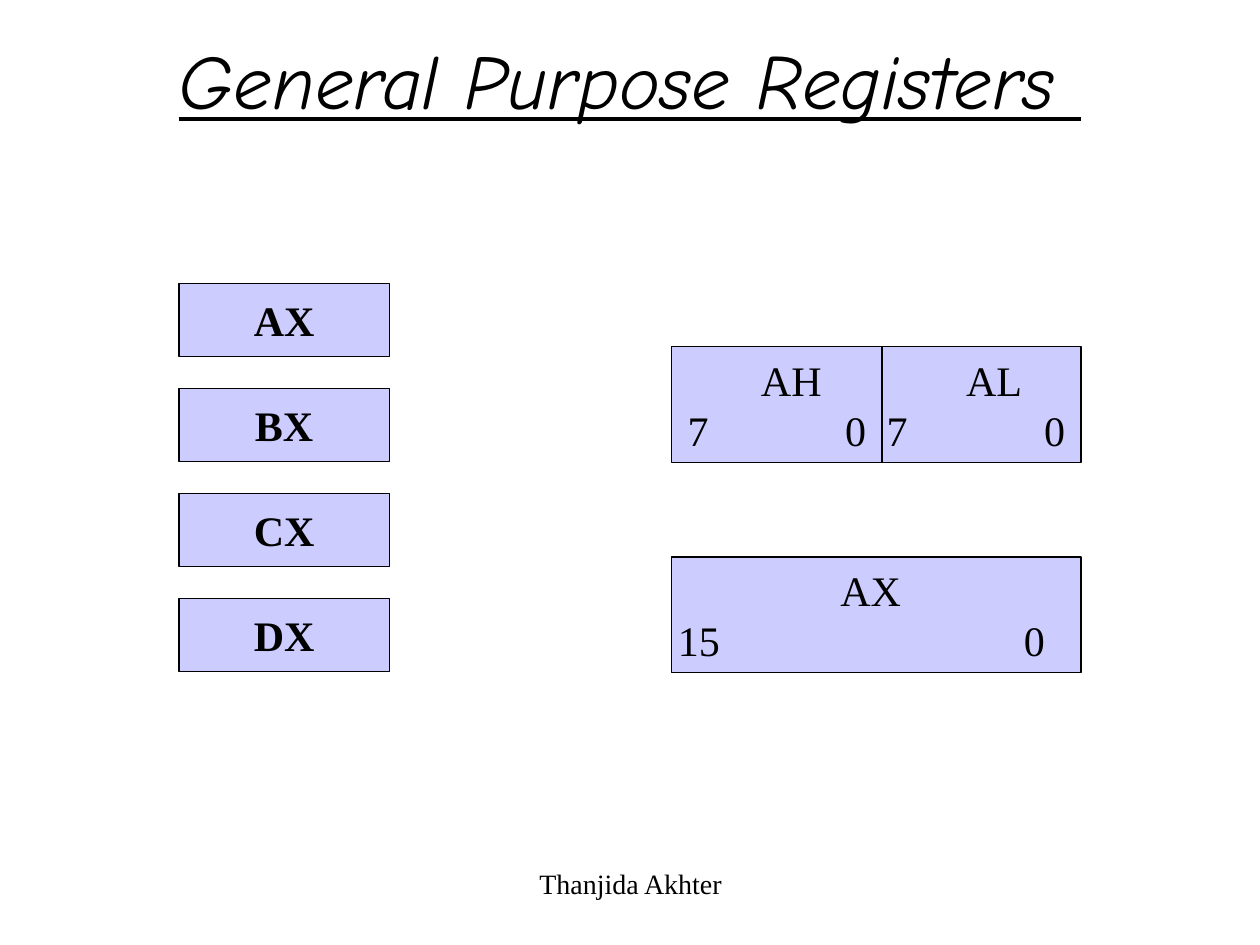
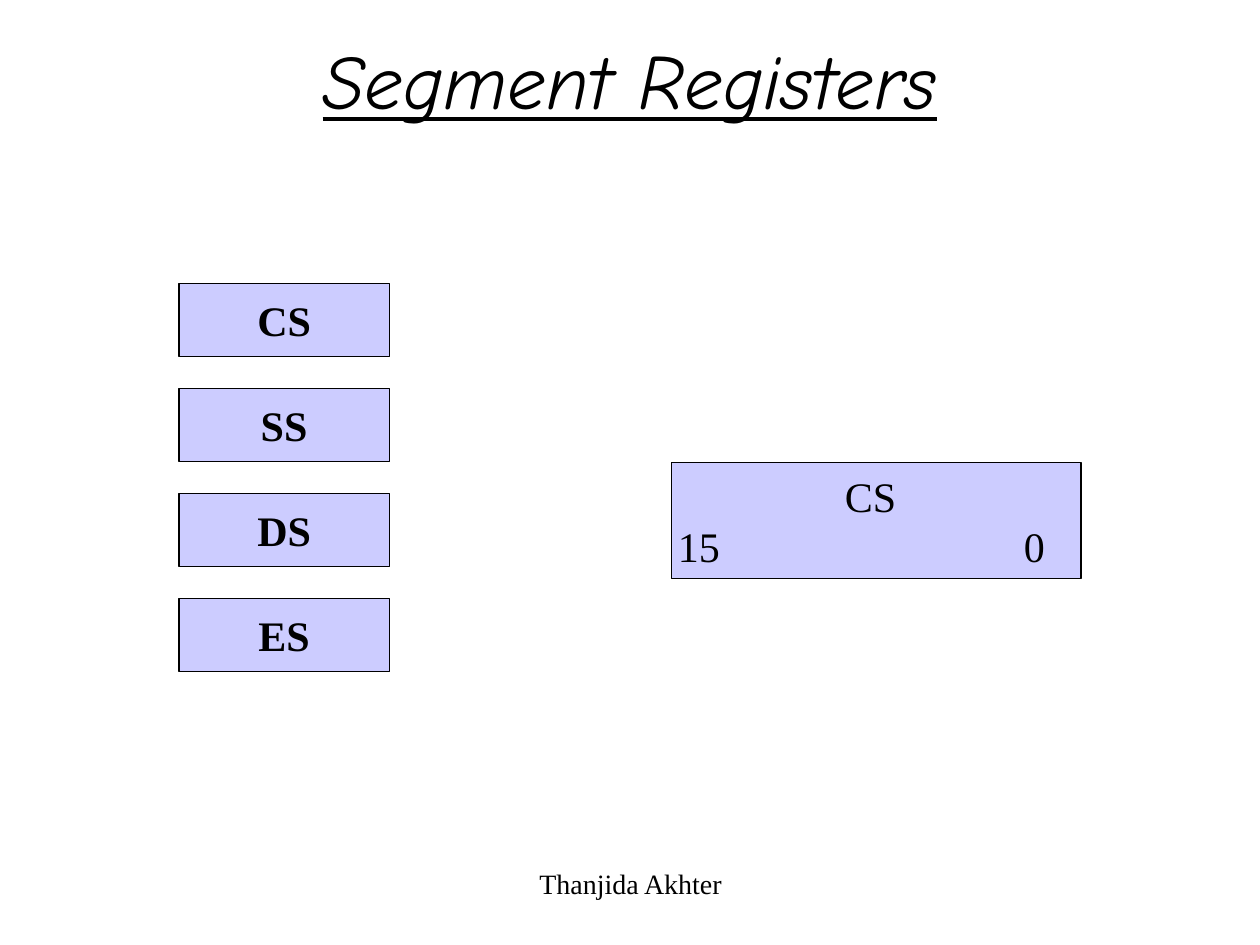
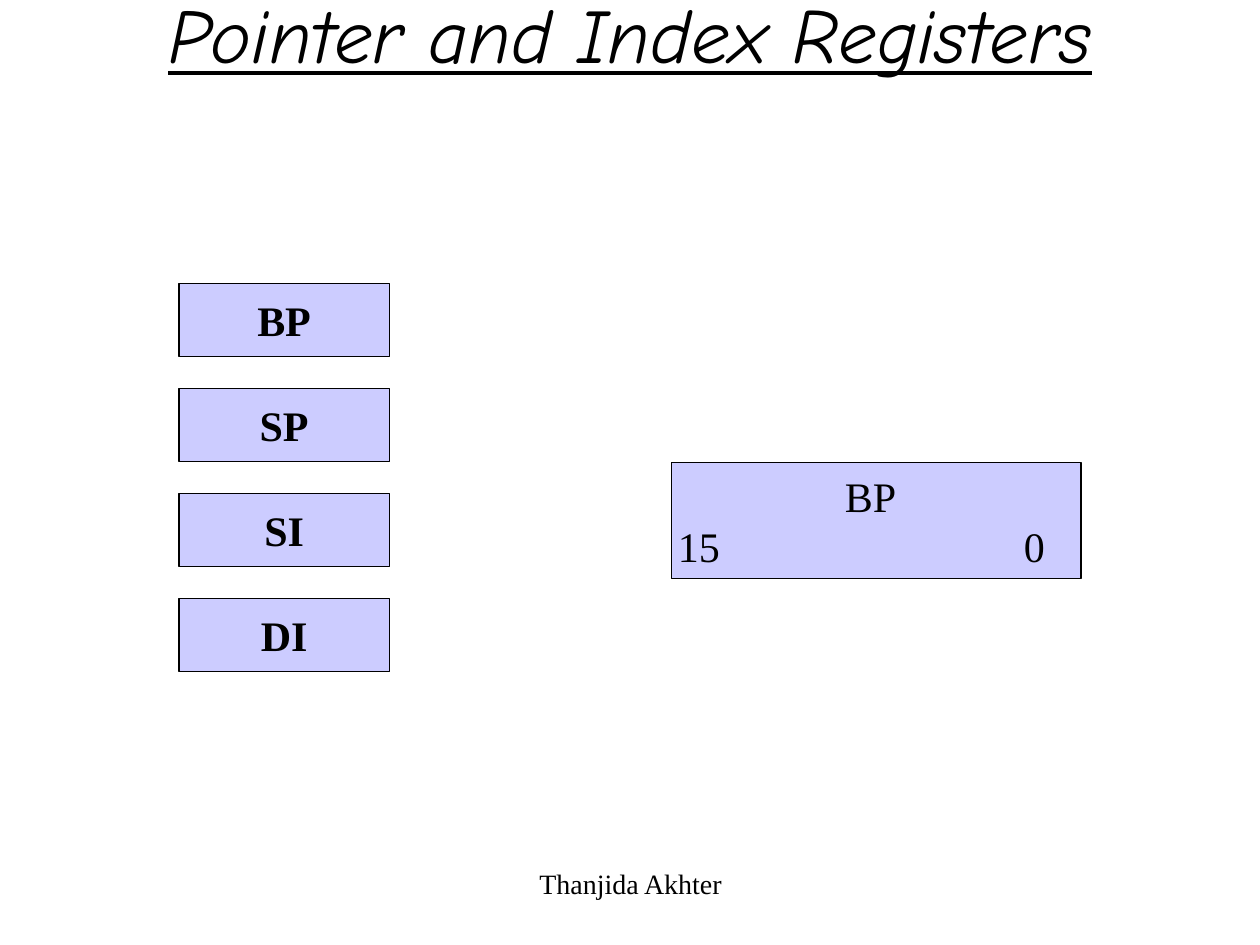
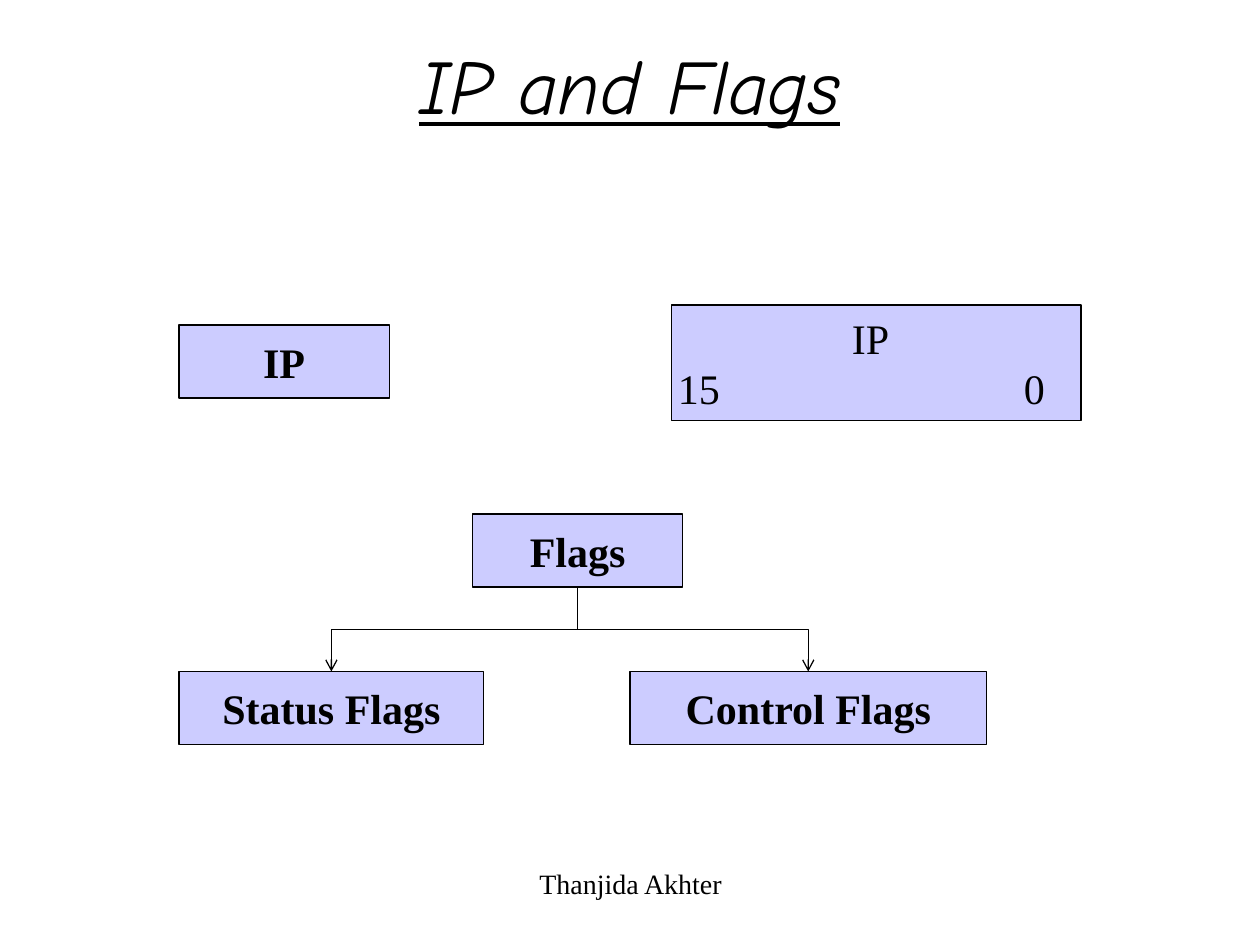
from dataclasses import dataclass

from lxml import etree
from pptx import Presentation
from pptx.dml.color import RGBColor
from pptx.enum.shapes import MSO_CONNECTOR, MSO_SHAPE
from pptx.enum.text import MSO_ANCHOR, PP_ALIGN
from pptx.oxml.ns import qn
from pptx.util import Inches, Pt

RECTANGLE = MSO_SHAPE.RECTANGLE
STRAIGHT = MSO_CONNECTOR.STRAIGHT
ELBOW = MSO_CONNECTOR.ELBOW
MIDDLE = MSO_ANCHOR.MIDDLE
CENTER = PP_ALIGN.CENTER
LEFT = PP_ALIGN.LEFT
BOTTOM_SITE, TOP_SITE = 2, 0


@dataclass(frozen=True)
class Theme:
    ink: RGBColor = RGBColor(0x00, 0x00, 0x00)
    box_fill: RGBColor = RGBColor(0xCC, 0xCC, 0xFF)
    title_font: str = "Comic Neue"
    body_font: str = "Times New Roman"
    title_size: Pt = Pt(44)
    label_size: Pt = Pt(24)
    footer_size: Pt = Pt(16)
    line_width: Pt = Pt(0.75)


theme = Theme()
NAME_LEFT, NAME_WIDTH, NAME_HEIGHT = 1.42, 1.67, 0.58
COLUMN_TOP, COLUMN_STEP = 2.25, 2.5 / 3
BITS_LEFT, BITS_WIDTH, BITS_HEIGHT = 5.33, 3.25, 0.92
HALVES_TOP, HALVES_SPLIT = 2.75, 7

HALF_LINES = [("\tAH\tAL", (0.9, 2.51)), ("\t7\t0\t7\t0", (0.16, 1.41, 1.74, 2.99))]
WORD_NAME_STOPS, WORD_BIT_STOPS = (1.53,), (2.83,)

slide_specs = [
    ("General Purpose Registers ", 1.25, ["AX", "BX", "CX", "DX"], COLUMN_TOP, 4.42),
    ("Segment Registers", 1.25, ["CS", "SS", "DS", "ES"], COLUMN_TOP, 3.67),
    ("Pointer and Index Registers\v", 1.25, ["BP", "SP", "SI", "DI"], COLUMN_TOP, 3.67),
    ("IP and Flags", 1.33, ["IP"], 2.58, 2.42),
]


def add_box(slide, left, top, width, height, label=""):
    box = slide.shapes.add_shape(
        RECTANGLE, Inches(left), Inches(top), Inches(width), Inches(height)
    )
    box.shadow.inherit = False
    box.fill.solid()
    box.fill.fore_color.rgb = theme.box_fill
    box.line.color.rgb = theme.ink
    box.line.width = theme.line_width
    frame = box.text_frame
    frame.word_wrap = False
    frame.vertical_anchor = MIDDLE
    paragraph = frame.paragraphs[0]
    paragraph.text = label
    paragraph.alignment = CENTER
    paragraph.font.name = theme.body_font
    paragraph.font.size = theme.label_size
    paragraph.font.bold = True
    paragraph.font.color.rgb = theme.ink
    return box


def add_bit_box(slide, top, lines):
    frame = add_box(slide, BITS_LEFT, top, BITS_WIDTH, BITS_HEIGHT).text_frame
    frame.word_wrap = True
    frame.margin_left = frame.margin_right = Inches(0.05)
    frame.add_paragraph()
    for paragraph, (text, stops) in zip(frame.paragraphs, lines):
        paragraph.text = text
        paragraph.alignment = LEFT
        paragraph.font.name = theme.body_font
        paragraph.font.size = theme.label_size
        paragraph.font.bold = False
        paragraph.font.color.rgb = theme.ink
        tab_list = etree.Element(qn("a:tabLst"))
        for stop in stops:
            etree.SubElement(tab_list, qn("a:tab"), pos=str(Inches(stop)), algn="ctr")
        paragraph._p.pPr.insert(0, tab_list)


presentation = Presentation()
presentation.slide_width = Inches(10)
presentation.slide_height = Inches(7.5)
title_layout = presentation.slide_layouts.get_by_name("Title Only")

for title_text, title_height, names, names_top, word_top in slide_specs:
    slide = presentation.slides.add_slide(title_layout)
    title = slide.shapes.title
    title.left, title.top = Inches(0), Inches(0)
    title.width, title.height = presentation.slide_width, Inches(title_height)
    title.text_frame.vertical_anchor = MIDDLE
    paragraph = title.text_frame.paragraphs[0]
    paragraph.text = title_text
    paragraph.alignment = CENTER
    paragraph.font.name = theme.title_font
    paragraph.font.size = theme.title_size
    paragraph.font.italic = True
    paragraph.font.underline = True
    paragraph.font.color.rgb = theme.ink

    for row, name in enumerate(names):
        add_box(slide, NAME_LEFT, names_top + row * COLUMN_STEP, NAME_WIDTH, NAME_HEIGHT, name)
    word_lines = [("\t" + names[0], WORD_NAME_STOPS), ("15\t0", WORD_BIT_STOPS)]
    add_bit_box(slide, word_top, word_lines)

    footer = slide.shapes.add_textbox(Inches(3.42), Inches(6.83), Inches(3.17), Inches(0.5))
    footer.text_frame.word_wrap = True
    paragraph = footer.text_frame.paragraphs[0]
    paragraph.text = "Thanjida Akhter"
    paragraph.alignment = CENTER
    paragraph.font.name = theme.body_font
    paragraph.font.size = theme.footer_size
    paragraph.font.color.rgb = theme.ink

general_slide = presentation.slides[0]
add_bit_box(general_slide, HALVES_TOP, HALF_LINES)
divider = general_slide.shapes.add_connector(
    STRAIGHT,
    Inches(HALVES_SPLIT), Inches(HALVES_TOP),
    Inches(HALVES_SPLIT), Inches(HALVES_TOP + BITS_HEIGHT),
)

flags_slide = presentation.slides[3]
flags_box = add_box(flags_slide, 3.75, 4.08, NAME_WIDTH, NAME_HEIGHT, "Flags")
connectors = [divider]
for label, left, width in [("Status Flags", 1.42, 2.42), ("Control Flags", 5, 2.83)]:
    kind_box = add_box(flags_slide, left, 5.33, width, NAME_HEIGHT, label)
    arrow = flags_slide.shapes.add_connector(ELBOW, 0, 0, 0, 0)
    arrow.begin_connect(flags_box, BOTTOM_SITE)
    arrow.end_connect(kind_box, TOP_SITE)
    start_x, start_y, end_x, end_y = arrow.begin_x, arrow.begin_y, arrow.end_x, arrow.end_y
    drop, reach = end_y - start_y, abs(end_x - start_x)
    arrow.left = (start_x + end_x - drop) // 2
    arrow.top = (start_y + end_y - reach) // 2
    arrow.width, arrow.height = drop, reach
    goes_right = end_x > start_x
    transform = arrow._element.spPr.xfrm
    transform.set("rot", str((270 if goes_right else 90) * 60000))
    transform.set("flipH", "1" if goes_right else "0")
    transform.set("flipV", "0")
    etree.SubElement(arrow.line._get_or_add_ln(), qn("a:tailEnd"), type="arrow")
    connectors.append(arrow)

for connector in connectors:
    connector.line.color.rgb = theme.ink
    connector.line.width = theme.line_width
    etree.SubElement(connector._element.spPr, qn("a:effectLst"))

presentation.save("out.pptx")
